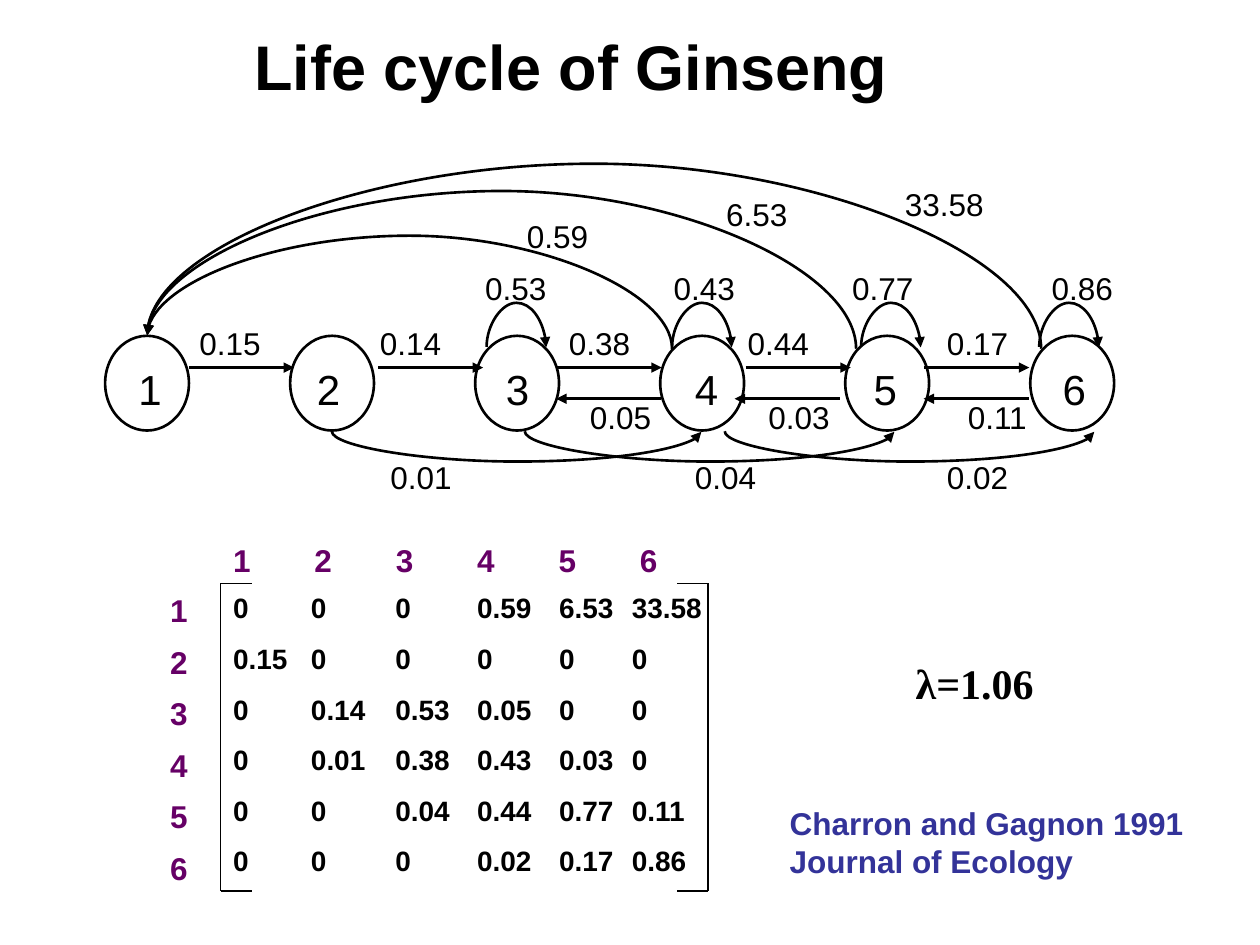
from lxml.etree import SubElement
from pptx import Presentation
from pptx.dml.color import RGBColor
from pptx.enum.shapes import MSO_CONNECTOR, MSO_SHAPE
from pptx.enum.text import MSO_AUTO_SIZE
from pptx.oxml.ns import qn
from pptx.util import Cm, Pt

BLACK, PURPLE, BLUE = "000000", "660066", "333399"
LINE_WIDTH = 1.5

STAGE_FORMAT = {"size": Pt(24)}
RATE_FORMAT = {"size": Pt(18)}
HEADING_FORMAT = {"size": Pt(18), "bold": True}
ENTRY_FORMAT = {"size": Pt(16), "bold": True}

MATRIX = [
    ["0", "0", "0", "0.59", "6.53", "33.58"],
    ["0.15", "0", "0", "0", "0", "0"],
    ["0", "0.14", "0.53", "0.05", "0", "0"],
    ["0", "0.01", "0.38", "0.43", "0.03", "0"],
    ["0", "0", "0.04", "0.44", "0.77", "0.11"],
    ["0", "0", "0", "0.02", "0.17", "0.86"],
]
COLUMN_LEFTS = [4.45, 6.02, 7.72, 9.37, 11.02, 12.49]
STAGE_LABEL_LEFTS = [2.54, 6.14, 9.95, 13.76, 17.36, 21.17]

# Each transition: arrow start x, label left, rate
FORWARD = [(3.81, 3.77, "0.15"), (7.62, 7.41, "0.14"), (11.22, 11.22, "0.38"),
           (15.03, 14.82, "0.44"), (18.63, 18.84, "0.17")]
BACKWARD = [(13.33, 11.64, "0.05"), (16.93, 15.24, "0.03"), (20.74, 19.26, "0.11")]
LOOPS = [(9.81, 9.53, "0.53"), (13.55, 13.33, "0.43"),
         (17.36, 16.93, "0.77"), (20.95, 20.95, "0.86")]
SKIPS = [(6.69, 7.62, "0.01"), (10.58, 13.76, "0.04"), (14.61, 18.84, "0.02")]
# Each return: arrow start x, height of the arc, label left, label top, rate
RETURNS = [(13.55, 2.28, 10.37, 4.25, "0.59"), (17.26, 3.18, 14.39, 3.81, "6.53"),
           (20.99, 3.73, 17.99, 3.6, "33.58")]


def color(hex_value):
    return RGBColor.from_string(hex_value)


def add_text(slide, left, top, width, height, lines, formats, hex_value=BLACK, wrap=False):
    box = slide.shapes.add_textbox(Cm(left), Cm(top), Cm(width), Cm(height))
    frame = box.text_frame
    frame.word_wrap = wrap
    frame.auto_size = MSO_AUTO_SIZE.SHAPE_TO_FIT_TEXT
    for index, line in enumerate(lines):
        paragraph = frame.add_paragraph() if index else frame.paragraphs[0]
        run = paragraph.add_run()
        run.text = line
        for name, value in {"name": "Arial", **formats}.items():
            setattr(run.font, name, value)
        run.font.color.rgb = color(hex_value)


def add_number(slide, left, top, text, formats, hex_value=BLACK):
    """Add a number in a box that just fits it; a point is half as wide as a digit."""
    points = formats["size"].pt
    digits = len(text) - 0.5 * text.count(".")
    width = 0.51 + digits * points * 0.02
    height = 0.25 + points * 0.04
    add_text(slide, left, top, width, height, [text], formats, hex_value)


def add_line(shapes, start, end, width=LINE_WIDTH, arrow=False, kind=MSO_CONNECTOR.STRAIGHT):
    connector = shapes.add_connector(kind, *map(Cm, start + end))
    connector.line.color.rgb = color(BLACK)
    connector.line.width = Pt(width)
    if arrow:
        SubElement(connector.line._get_or_add_ln(), qn("a:tailEnd"), type="triangle")
    SubElement(connector._element.spPr, qn("a:effectLst"))
    return connector


def add_arc(slide, start, end, bend, rotation, flip):
    """Add a curved arrow whose middle lies bend times its depth away from the start."""
    depth = max(abs(end[1] - start[1]), 0.01)
    span = abs(end[0] - start[0])
    middle_x, middle_y = (start[0] + end[0]) / 2, (start[1] + end[1]) / 2
    connector = add_line(
        slide.shapes,
        (middle_x - depth / 2, middle_y - span / 2),
        (middle_x + depth / 2, middle_y + span / 2),
        arrow=True, kind=MSO_CONNECTOR.CURVE)
    properties = connector._element.spPr
    properties.xfrm.set("rot", str(rotation * 60000))
    properties.xfrm.set(flip, "1")
    guides = properties.find(qn("a:prstGeom")).get_or_add_avLst()
    SubElement(guides, qn("a:gd"), name="adj1", fmla=f"val {round(bend / depth * 100000)}")


def add_bracket(slide, spine, tip):
    group = slide.shapes.add_group_shape()
    top, bottom = 11.76, 17.96
    add_line(group.shapes, (spine, top), (spine, bottom), 0.75)
    for y in (bottom, top):
        add_line(group.shapes, (spine, y), (tip, y), 0.75)


def add_matrix(slide):
    add_bracket(slide, 4.45, 5.08)
    add_bracket(slide, 14.27, 13.64)
    for row, entries in enumerate(MATRIX):
        stage = str(row + 1)
        add_number(slide, 4.45 + 1.64 * row, 10.79, stage, HEADING_FORMAT, PURPLE)
        add_number(slide, 3.18, 11.79 + 1.04 * row, stage, HEADING_FORMAT, PURPLE)
        for left, entry in zip(COLUMN_LEFTS, entries):
            add_number(slide, left, 11.79 + 1.02 * row, entry, ENTRY_FORMAT)


def add_stages(slide):
    for index, label_left in enumerate(STAGE_LABEL_LEFTS):
        stage = slide.shapes.add_shape(
            MSO_SHAPE.OVAL, Cm(2.12 + 3.73 * index), Cm(6.77), Cm(1.69), Cm(1.91))
        stage.shadow.inherit = False
        stage.fill.background()
        stage.line.color.rgb = color(BLACK)
        stage.line.width = Pt(LINE_WIDTH)
        add_number(slide, label_left, 7.21, str(index + 1), STAGE_FORMAT)


def add_transitions(slide):
    for transitions, y, length, label_top in ((FORWARD, 7.41, 2.12, 6.4),
                                              (BACKWARD, 8.04, -2.12, 7.9)):
        for x, label_left, rate in transitions:
            add_line(slide.shapes, (x, y), (x + length, y), arrow=True)
            add_number(slide, label_left, label_top, rate, RATE_FORMAT)
    for transitions, y, span, bend, rotation, flip, label_top in (
            (LOOPS, 7, 1.2, -0.89, 90, "flipV", 5.29),
            (SKIPS, 8.7, 7.45, 0.61, 270, "flipH", 9.1)):
        for x, label_left, rate in transitions:
            add_arc(slide, (x, y), (x + span, y), bend, rotation, flip)
            add_number(slide, label_left, label_top, rate, RATE_FORMAT)
    for x, bend, label_left, label_top, rate in RETURNS:
        add_arc(slide, (x, 7.03), (2.97, 6.76), bend, 90, "flipH")
        add_number(slide, label_left, label_top, rate, RATE_FORMAT)


def main():
    presentation = Presentation()
    presentation.slide_width, presentation.slide_height = Cm(25.4), Cm(19.05)
    slide = presentation.slides.add_slide(presentation.slide_layouts[6])
    add_text(slide, 4.88, 0.43, 14.6, 1.78, ["Life cycle of Ginseng"],
             {"size": Pt(36), "bold": True}, wrap=True)
    add_matrix(slide)
    add_stages(slide)
    add_transitions(slide)
    add_text(slide, 18.21, 13.13, 4.01, 1.27, ["λ=1.06"],
             {"name": "Times New Roman", "size": Pt(24), "bold": True}, wrap=True)
    add_text(slide, 15.67, 16.08, 8.46, 1.78,
             ["Charron and Gagnon 1991", "Journal of Ecology"], HEADING_FORMAT, BLUE)
    presentation.save("out.pptx")


if __name__ == "__main__":
    main()
